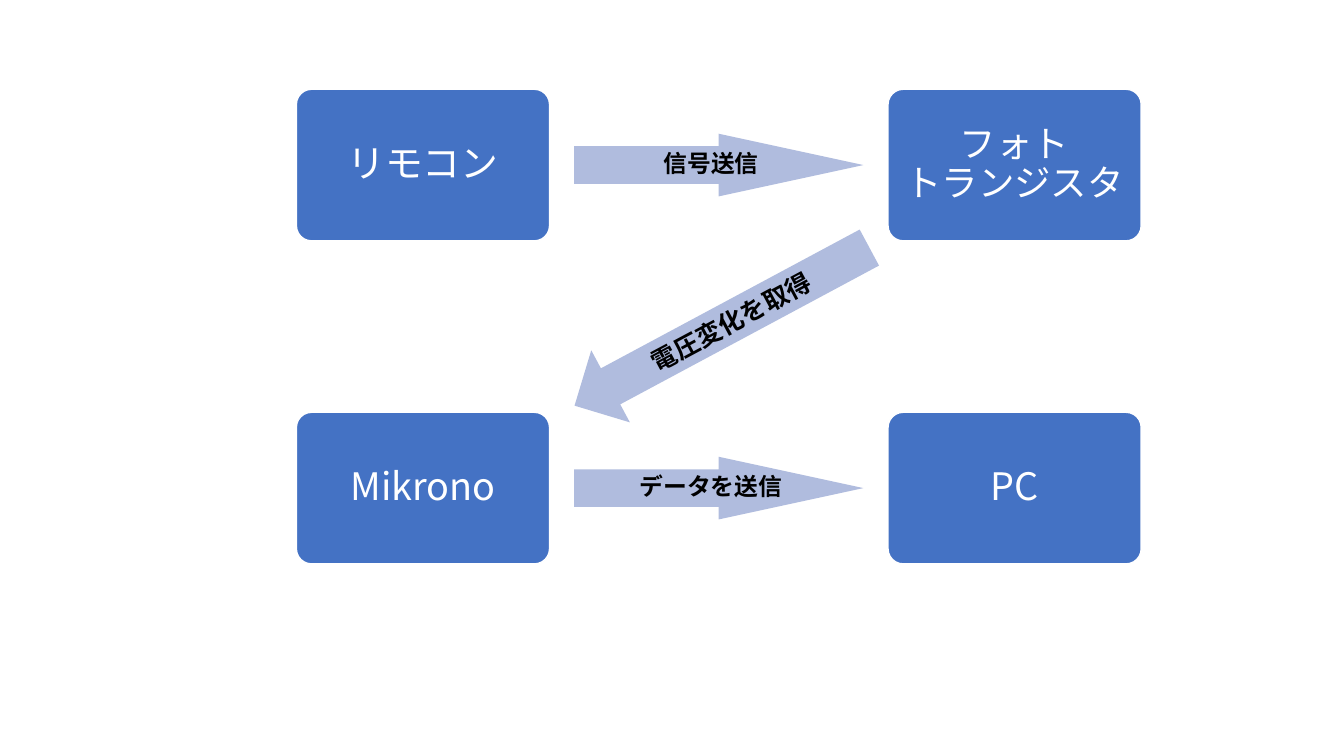
"""Build a slide showing how a remote control signal reaches the PC."""
from lxml.etree import SubElement
from pptx import Presentation
from pptx.dml.color import RGBColor
from pptx.enum.shapes import MSO_SHAPE
from pptx.enum.text import MSO_ANCHOR, PP_ALIGN
from pptx.oxml.ns import qn
from pptx.util import Cm, Pt

DEVICES = [
    ("リモコン", 0, 0, 27),
    ("フォト\vトランジスタ", 1, 0, 26),
    ("Mikrono", 0, 1, 27),
    ("PC", 1, 1, 27),
]
TRANSFERS = [("信号送信", 0), ("データを送信", 1)]
READING = "電圧変化を取得"

COLORS = {"device": "4472C4", "flow": "B0BCDE", "light": "FFFFFF", "dark": "000000"}
FONT = "Noto Sans CJK JP"
LEFT, TOP = 7.47, 2.25
DEVICE_W, DEVICE_H = 6.38, 3.82
COLUMN_STEP, ROW_STEP = 14.91, 8.14
TRANSFER_W, TRANSFER_H = 7.29, 1.58
READING_W, READING_H = 8.43, 2.06

DEVICE_FRAME = {
    "margin_left": Cm(0.25), "margin_right": Cm(0.25),
    "margin_top": Cm(0.3), "margin_bottom": Cm(0.3), "word_wrap": True,
}
TRANSFER_FRAME = {
    "margin_left": Cm(1.8), "margin_right": 0,
    "margin_top": 0, "margin_bottom": 0, "word_wrap": False,
}
READING_FRAME = {"word_wrap": True}


def rgb(role):
    return RGBColor.from_string(COLORS[role])


def set_all(target, values):
    for key, value in values.items():
        setattr(target, key, value)


def add_step(kind, center, size, text, fill, ink, points, frame, spacing=0.9, adjust=()):
    (x, y), (width, height) = center, size
    step = slide.shapes.add_shape(
        kind, Cm(x - width / 2), Cm(y - height / 2), Cm(width), Cm(height))
    step.shadow.inherit = False
    step.fill.solid()
    step.fill.fore_color.rgb = rgb(fill)
    step.line.fill.background()
    for index, value in enumerate(adjust):
        step.adjustments[index] = value
    set_all(step.text_frame, {"vertical_anchor": MSO_ANCHOR.MIDDLE, **frame})
    step.text_frame.text = text
    paragraph = step.text_frame.paragraphs[0]
    set_all(paragraph, {"alignment": PP_ALIGN.CENTER, "line_spacing": spacing})
    for run in paragraph.runs:
        set_all(run.font, {"name": FONT, "size": Pt(points), "bold": ink == "dark"})
        run.font.color.rgb = rgb(ink)
        SubElement(run.font._element, qn("a:ea"), typeface=FONT)
    return step


deck = Presentation()
set_all(deck, {"slide_width": Cm(33.87), "slide_height": Cm(19.05)})
slide = deck.slides.add_slide(deck.slide_layouts[6])

first_x, first_y = LEFT + DEVICE_W / 2, TOP + DEVICE_H / 2
middle_x = first_x + COLUMN_STEP / 2

for name, column, row, points in DEVICES:
    center = (first_x + column * COLUMN_STEP, first_y + row * ROW_STEP)
    device = add_step(MSO_SHAPE.ROUNDED_RECTANGLE, center, (DEVICE_W, DEVICE_H), name,
                      "device", "light", points, DEVICE_FRAME, adjust=(0.1,))
    device.line.color.rgb = rgb("light")
    device.line.width = Pt(1)

for label, row in TRANSFERS:
    center = (middle_x, first_y + row * ROW_STEP)
    add_step(MSO_SHAPE.RIGHT_ARROW, center, (TRANSFER_W, TRANSFER_H), label,
             "flow", "dark", 17, TRANSFER_FRAME, adjust=(0.6, 2.31))

reading = add_step(MSO_SHAPE.LEFT_ARROW, (middle_x + 0.08, first_y + ROW_STEP / 2),
                   (READING_W, READING_H), READING, "flow", "dark", 18, READING_FRAME, 1.0)
reading.rotation = 331.8

deck.save("out.pptx")
